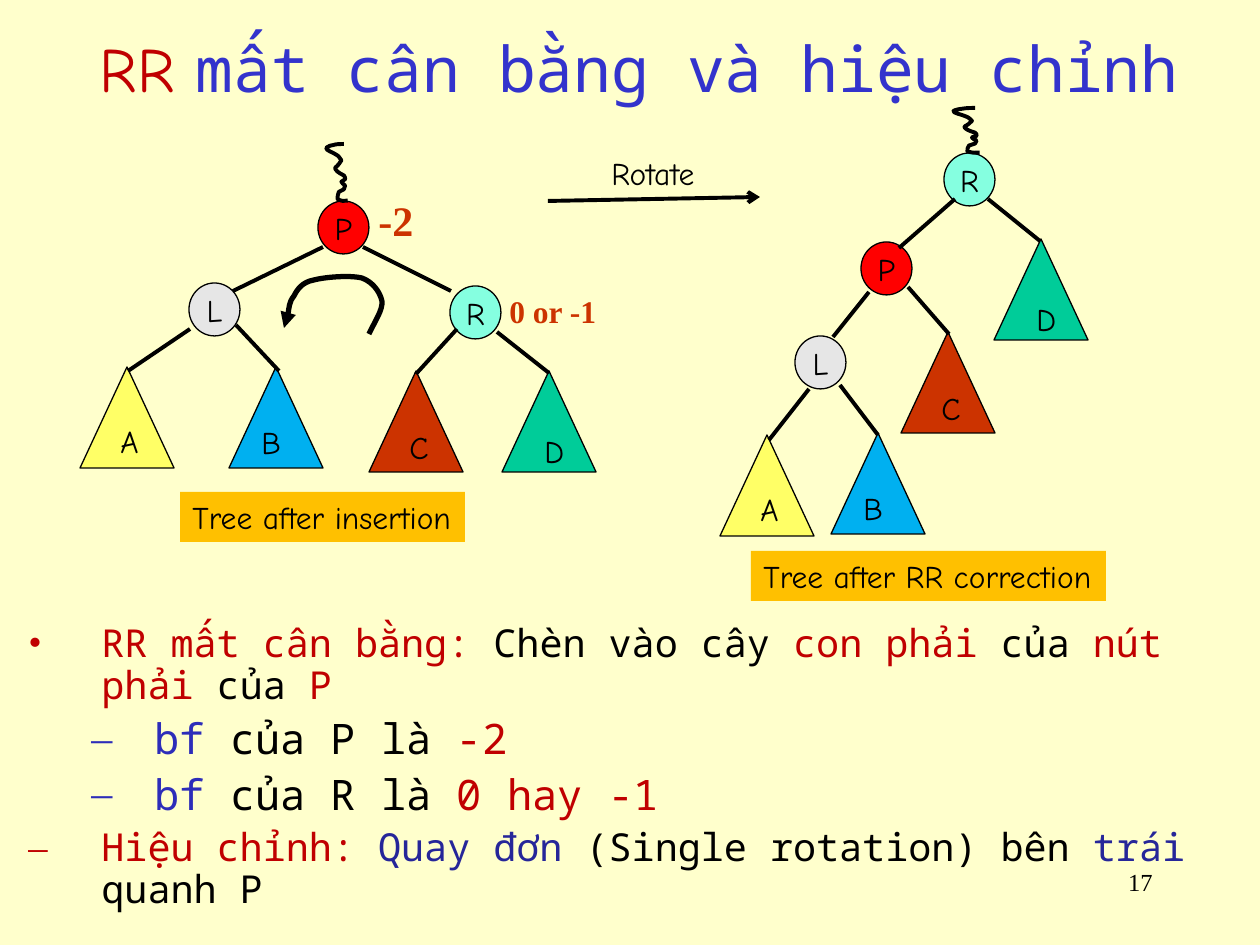
from lxml import etree
from pptx import Presentation
from pptx import util as u
from pptx.dml.color import RGBColor
from pptx.enum import shapes, text
from pptx.oxml import ns

PX = 914400 / 126
THEME = {
    "page": "FFFFCC", "ink": "000000", "red": "C00000", "blue": "3333CC",
    "bullet": "2D2DB9", "navy": "262699", "rust": "CC3300", "caption": "FFC000",
    "hand": "Comic Neue", "mono": "Noto Sans Mono", "serif": "Times New Roman",
    "title": 36, "large": 24, "body": 22, "label": 18, "number": 14,
    "thin": 0.75, "edge": 2.25, "arc": 3,
}
NODES = {"P": "FF0000", "L": "E6E6E6", "R": "85FFE0"}
LEAVES = {
    "A": ("FFFF66", 28, 49, 43), "B": ("00B0F0", 20, 50, 44),
    "C": ("CC3300", 28, 51, 44), "D": ("00CC99", 30, 55, 44),
}

deck = Presentation()
deck.slide_width, deck.slide_height = u.Inches(10), u.Inches(7.5)
page = deck.slides.add_slide(deck.slide_layouts[6])
page.background.fill.solid()
page.background.fill.fore_color.rgb = RGBColor.from_string(THEME["page"])


def add_text(left, top, width, height, words, font="hand", size="label", color="ink",
             align="LEFT", wrap=False, bold=False):
    box = page.shapes.add_textbox(*(round(n * PX) for n in (left, top, width, height)))
    frame = box.text_frame
    frame.word_wrap = wrap
    if not wrap:
        frame.auto_size = text.MSO_AUTO_SIZE.SHAPE_TO_FIT_TEXT
    para = frame.paragraphs[0]
    para.text = words
    para.alignment = text.PP_ALIGN[align]
    para.font.name, para.font.size = THEME[font], u.Pt(THEME[size])
    para.font.bold = bold
    para.font.color.rgb = RGBColor.from_string(THEME[color])
    return box


def add_curve(points, weight):
    points = [(x * PX, y * PX) for x, y in points]
    builder = page.shapes.build_freeform(*points[0])
    builder.add_line_segments(points[1:], close=False)
    curve = builder.convert_to_shape()
    outline = curve._element.find(".//" + ns.qn("a:path"))
    segments = outline.findall(ns.qn("a:lnTo"))
    for start in range(0, len(segments), 3):
        bend = etree.SubElement(outline, ns.qn("a:cubicBezTo"))
        for segment in segments[start:start + 3]:
            bend.append(segment[0])
            outline.remove(segment)
    curve.shadow.inherit = False
    curve.fill.background()
    curve.line.color.rgb = RGBColor.from_string(THEME["ink"])
    curve.line.width = u.Pt(weight)
    return curve


add_text(903, 861, 262, 63, "17", "serif", "number", align="RIGHT", wrap=True)

title = add_text(38, 19, 1202, 96, "", size="title", align="CENTER", wrap=True)
title.text_frame.vertical_anchor = text.MSO_ANCHOR.MIDDLE
for words, font, color in (("RR ", "hand", "red"),
                           ("mất cân bằng và hiệu chỉnh", "mono", "blue")):
    span = title.text_frame.paragraphs[0].add_run()
    span.text = words
    span.font.name, span.font.size = THEME[font], u.Pt(THEME["title"])
    span.font.color.rgb = RGBColor.from_string(THEME[color])

leaves = [
    ("A", 80, 367), ("B", 229, 367), ("C", 369, 371), ("D", 502, 371),
    ("A", 720, 435), ("B", 831, 433), ("C", 901, 332), ("D", 994, 239),
]
nodes = [
    ("P", 318, 201), ("L", 189, 283), ("R", 450, 286),
    ("R", 944, 153), ("L", 795, 336), ("P", 861, 242),
]
triangle, ellipse = shapes.MSO_SHAPE.ISOSCELES_TRIANGLE, shapes.MSO_SHAPE.OVAL
parts = [(triangle, 94, 101, *leaf) for leaf in leaves]
parts += [(ellipse, 51, 53, *node) for node in nodes]
for kind, width, height, name, left, top in parts:
    shape = page.shapes.add_shape(
        kind, *(round(n * PX) for n in (left, top, width, height)))
    shape.shadow.inherit = False
    shape.fill.solid()
    shape.line.color.rgb = RGBColor.from_string(THEME["ink"])
    shape.line.width = u.Pt(THEME["thin"])
    if kind == triangle:
        color, right, down, letter_width = LEAVES[name]
        add_text(left + right, top + down, letter_width, 50, name)
    else:
        color = NODES[name]
        frame = shape.text_frame
        frame.word_wrap = False
        frame.vertical_anchor = text.MSO_ANCHOR.MIDDLE
        para = frame.paragraphs[0]
        para.text = name
        para.alignment = text.PP_ALIGN.CENTER
        para.font.name, para.font.size = THEME["hand"], u.Pt(THEME["label"])
        para.font.color.rgb = RGBColor.from_string(THEME["ink"])
    shape.fill.fore_color.rgb = RGBColor.from_string(color)

rotate_arrow = (548, 201, 760, 197)
edges = [
    (323, 247, 233, 291), (363, 247, 451, 291), (497, 332, 549, 373),
    (190, 329, 128, 371), (236, 325, 279, 371), (457, 329, 416, 374),
    (908, 287, 949, 334), (869, 292, 833, 337), (955, 199, 899, 248),
    (988, 199, 1040, 241), (809, 389, 769, 440), (840, 385, 878, 435),
    rotate_arrow,
]
for edge in edges:
    line = page.shapes.add_connector(
        shapes.MSO_CONNECTOR.STRAIGHT, *(round(n * PX) for n in edge))
    line.line.color.rgb = RGBColor.from_string(THEME["ink"])
    line.line.width = u.Pt(THEME["edge"])
    if edge == rotate_arrow:
        etree.SubElement(line.line._get_or_add_ln(), ns.qn("a:tailEnd"), type="arrow")
    etree.SubElement(line._element.spPr, ns.qn("a:effectLst"))

squiggle = [
    (15, 0), (12, 0), (9, 0), (6, 1), (5, 1), (2, 2), (1, 3), (0, 5), (7, 7), (8, 8),
    (12, 10), (11, 11), (13, 13), (12, 14), (12, 15), (11, 16), (9, 19), (6, 18),
    (10, 22), (11, 23), (13, 24), (15, 25), (15, 26), (17, 27), (16, 28), (16, 29),
    (13, 29), (13, 30), (13, 31), (15, 32), (16, 33), (16, 34), (15, 35), (15, 36),
    (14, 37), (12, 37), (11, 38), (10, 40), (10, 42), (10, 44), (16, 46), (13, 45),
    (18, 45),
]
for left, top, stretch_x, stretch_y in ((325, 144, 1.26, 1.26), (952, 108, 1.54, 0.99)):
    add_curve([(left + x * stretch_x, top + y * stretch_y) for x, y in squiggle],
              THEME["edge"])

rotation = add_curve([
    (369, 334), (375, 321), (383, 310), (382, 301), (380, 292), (373, 282), (362, 278),
    (350, 275), (325, 277), (314, 280), (302, 282), (297, 290), (294, 296),
    (289, 302), (289, 312), (287, 319), (285, 324), (285, 325), (284, 328),
], THEME["arc"])
etree.SubElement(rotation.line._get_or_add_ln(), ns.qn("a:tailEnd"), type="triangle")

add_text(366, 188, 60, 63, "-2", "serif", "large", "rust", bold=True)
add_text(497, 286, 112, 50, "0 or -1", "serif", color="rust", bold=True)
add_text(599, 148, 111, 50, "Rotate")
for left, top, width, words in ((180, 492, 285, "Tree after insertion"),
                                (751, 551, 355, "Tree after RR correction")):
    caption = add_text(left, top, width, 50, words)
    caption.fill.solid()
    caption.fill.fore_color.rgb = RGBColor.from_string(THEME["caption"])

points = [
    (0, "•", [("RR mất cân bằng: ", "red"), ("Chèn vào cây ", "ink"), ("con phải ", "red"),
              ("của", "ink"), (" nút phải ", "red"), ("của", "ink"), (" P", "red")]),
    (1, "–", [("bf", "bullet"), (" của P là ", "ink"), ("-2", "red")]),
    (1, "–", [("bf", "bullet"), (" của R là ", "ink"), ("0 hay -1", "red")]),
    (0, "–", [("Hiệu chỉnh: ", "red"), ("Quay đơn ", "navy"),
              ("(Single rotation) bên ", "ink"), ("trái", "navy"), (" quanh P", "ink")]),
]
levels = [(73, -73, "red", "body", 5.5), (126, -63, "bullet", "large", 6)]
body = add_text(16, 618, 1230, 319, "", "mono", "body", wrap=True)
for index, (level, mark, spans) in enumerate(points):
    margin, indent, mark_color, size, gap = levels[level]
    frame = body.text_frame
    para = frame.add_paragraph() if index else frame.paragraphs[0]
    para.level = level
    props = para._p.get_or_add_pPr()
    props.set("marL", str(round(margin * PX)))
    props.set("indent", str(round(indent * PX)))
    for old in list(props):
        props.remove(old)
    tint = etree.SubElement(props, ns.qn("a:buClr"))
    etree.SubElement(tint, ns.qn("a:srgbClr"), val=THEME[mark_color])
    etree.SubElement(props, ns.qn("a:buFont"), typeface=THEME["serif"])
    etree.SubElement(props, ns.qn("a:buChar"), char=mark)
    para.line_spacing = 0.9
    if index:
        para.space_before = u.Pt(gap)
    para.font.name, para.font.size = THEME["mono"], u.Pt(THEME[size])
    for words, color in spans:
        span = para.add_run()
        span.text = words
        span.font.color.rgb = RGBColor.from_string(THEME[color])

deck.save("out.pptx")
